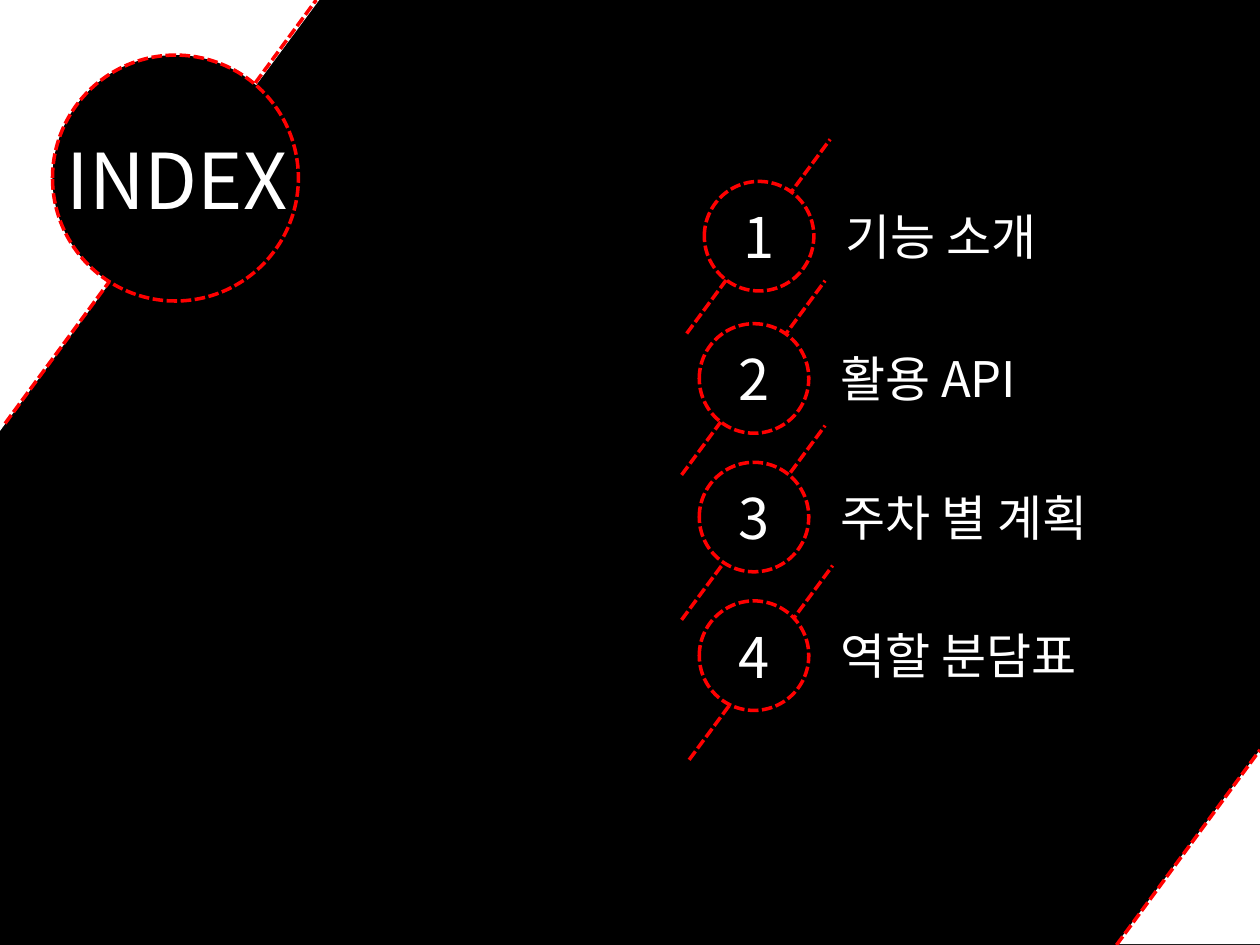
from lxml.etree import SubElement
from pptx import Presentation
from pptx.dml.color import RGBColor
from pptx.enum.dml import MSO_LINE
from pptx.enum.shapes import MSO_CONNECTOR, MSO_SHAPE
from pptx.enum.text import MSO_ANCHOR, MSO_AUTO_SIZE, PP_ALIGN
from pptx.oxml.ns import qn
from pptx.util import Pt

BLACK, WHITE, RED = "000000", "FFFFFF", "FF0000"
W, H = 720, 540


def rgb(value):
    return RGBColor.from_string(value)


class Deck:
    font = "Noto Sans CJK KR"

    def __init__(self):
        self.prs = Presentation()
        self.prs.slide_width, self.prs.slide_height = Pt(W), Pt(H)
        self.s = self.prs.slides.add_slide(self.prs.slide_layouts[6])

    def dash(self, line):
        line.color.rgb = rgb(RED)
        line.width = Pt(2)
        line.dash_style = MSO_LINE.SQUARE_DOT

    def set_text(self, tf, text, size):
        tf.text = text
        r = tf.paragraphs[0].runs[0]
        r.font.size, r.font.name, r.font.color.rgb = Pt(size), self.font, rgb(WHITE)
        SubElement(r._r.get_or_add_rPr(), qn("a:ea")).set("typeface", self.font)

    def shape(self, kind, x, y, w, h, color):
        sp = self.s.shapes.add_shape(kind, Pt(x), Pt(y), Pt(w), Pt(h))
        sp.shadow.inherit = False
        sp.fill.solid()
        sp.fill.fore_color.rgb = rgb(color)
        sp.line.fill.background()
        return sp

    def corner(self, x, y, w, h, flip):
        sp = self.shape(MSO_SHAPE.ISOSCELES_TRIANGLE, x, y, w, h, WHITE)
        sp.adjustments[0] = 0
        sp._element.spPr.xfrm.set(flip, "1")

    def circle(self, x, y, size, text=""):
        sp = self.shape(MSO_SHAPE.OVAL, x, y, size, size, BLACK)
        self.dash(sp.line)
        if text:
            tf = sp.text_frame
            tf.vertical_anchor = MSO_ANCHOR.MIDDLE
            self.set_text(tf, text, 32)
            tf.paragraphs[0].alignment = PP_ALIGN.CENTER

    def line(self, x1, y1, x2, y2):
        cn = self.s.shapes.add_connector(
            MSO_CONNECTOR.STRAIGHT, Pt(x1), Pt(y1), Pt(x2), Pt(y2))
        self.dash(cn.line)
        SubElement(cn._element.spPr, qn("a:effectLst"))

    def label(self, text, x, y, w, h, size):
        tf = self.s.shapes.add_textbox(Pt(x), Pt(y), Pt(w), Pt(h)).text_frame
        tf.word_wrap = False
        tf.auto_size = MSO_AUTO_SIZE.SHAPE_TO_FIT_TEXT
        self.set_text(tf, text, size)


def main():
    deck = Deck()
    deck.shape(MSO_SHAPE.RECTANGLE, 0, 0, W, H, BLACK)
    deck.corner(638, 428.5, 82, 111, "flipH")
    deck.corner(0, -0.7, 183, 247, "flipV")
    deck.line(638, H, W, 428.5)
    deck.line(2.9, 242, 180.7, 0)
    deck.circle(30, 31.5, 140.5)
    deck.label("INDEX", 31, 72, 142.5, 60.5, 44)

    items = [
        ("기능 소개", 137.5, 402.5, 103.7, 392.4, 190.6),
        ("활용 API", 123, 399.6, 185, 389.5, 271.4),
        ("주차 별 계획", 175.5, 399.6, 264.2, 389.5, 354.2),
        ("역할 분담표", 165.5, 399.6, 343.4, 393.8, 434.2),
    ]
    for number, (text, width, x, y, x1, y1) in enumerate(items, 1):
        deck.line(x1, y1, x1 + 82, y1 - 111)
        deck.circle(x, y, 62.6, str(number))
        deck.label(text, x + 73.4, y + 10.8, width, 41, 28)

    deck.prs.save("out.pptx")


if __name__ == "__main__":
    main()
